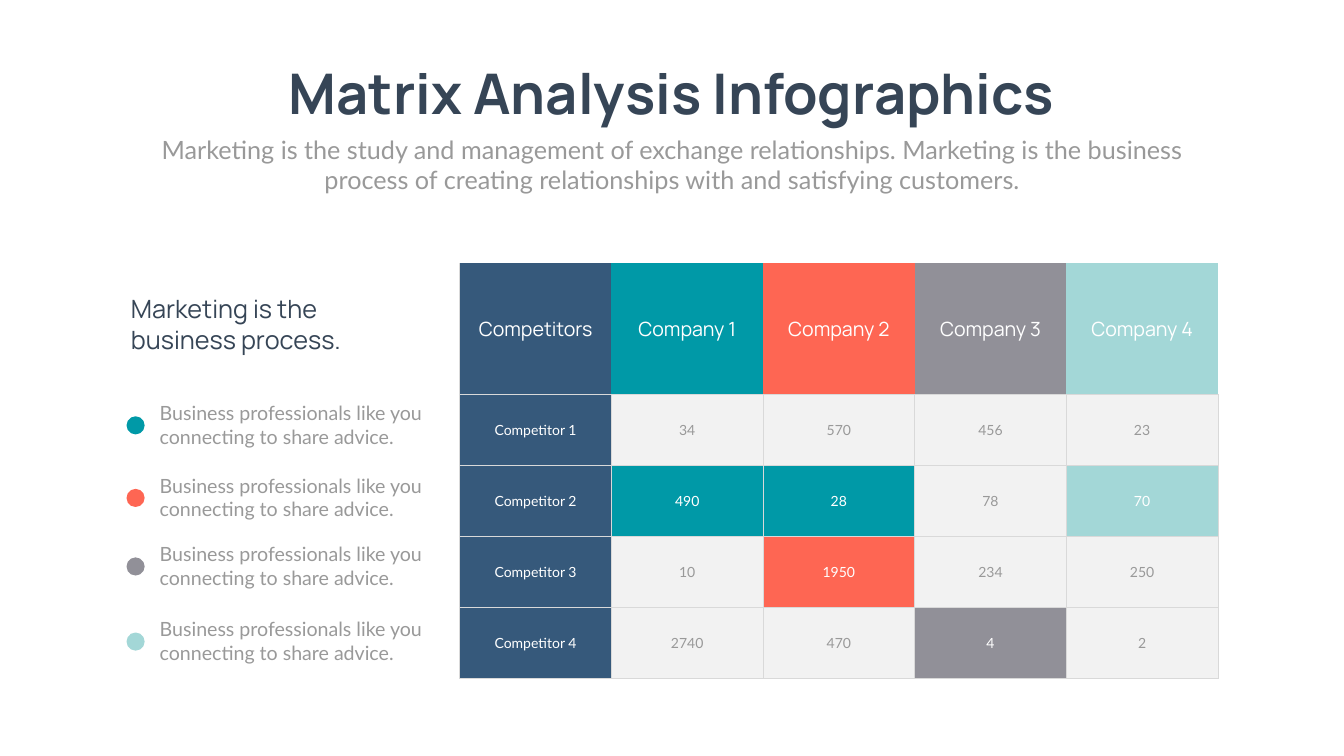
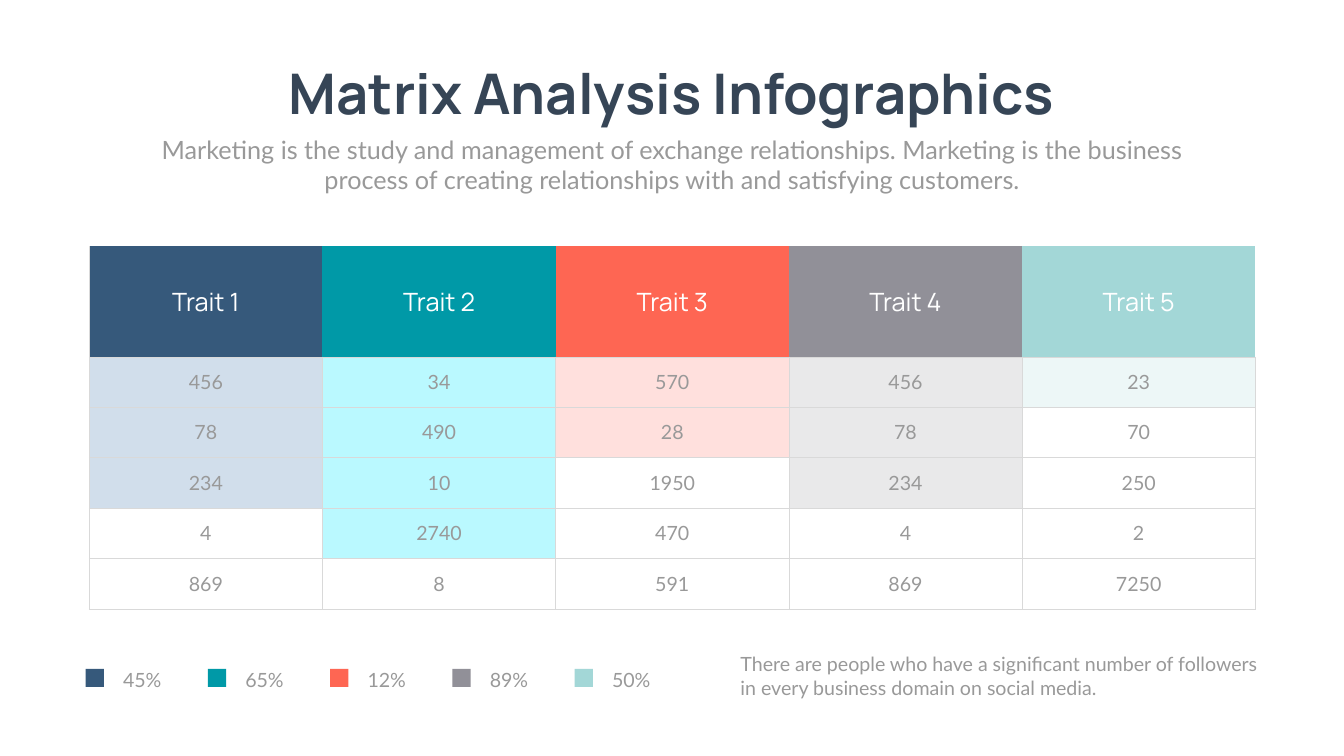
from lxml import etree
from pptx import Presentation
from pptx import util as u
from pptx.dml.color import RGBColor
from pptx.enum import shapes, text
from pptx.oxml import ns

PX = 9144  # EMU per px, 100 px to the inch

COLORS = {
    "navy": "36597B", "teal": "0099A7", "coral": "FE6653", "gray": "919098",
    "mint": "A3D7D7", "ink": "364556", "text": "999999", "white": "FFFFFF",
    "cell": "F2F2F2", "grid": "D9D9D9", "navy_tint": "D1DEEB",
    "teal_tint": "BAF9FF", "coral_tint": "FFE0DD", "gray_tint": "E9E9EA",
    "mint_tint": "EDF7F7",
}
SERIES = ["navy", "teal", "coral", "gray", "mint"]
HEADING, BODY = "Manrope", "Lato"

TITLE = "Matrix Analysis Infographics"
SUBTITLE = ("Marketing is the study and management of exchange relationships. "
            "Marketing is the business process of creating relationships with "
            "and satisfying customers.")

COMPETITORS = [
    ["Competitors", "Company 1", "Company 2", "Company 3", "Company 4"],
    ["Competitor 1", "34", "570", "456", "23"],
    ["Competitor 2", "490", "28", "78", "70"],
    ["Competitor 3", "10", "1950", "234", "250"],
    ["Competitor 4", "2740", "470", "4", "2"],
]
HIGHLIGHTS = {(2, 1): "teal", (2, 2): "teal", (2, 4): "mint",
              (3, 2): "coral", (4, 3): "gray"}
SIDE_HEADING = "Marketing is the business process."
ADVICE = "Business professionals like you connecting to share advice."
ADVICE_TOPS = {"teal": 791, "coral": 935, "gray": 1071, "mint": 1220}

TRAITS = [
    ["Trait 1", "Trait 2", "Trait 3", "Trait 4", "Trait 5"],
    ["456", "34", "570", "456", "23"],
    ["78", "490", "28", "78", "70"],
    ["234", "10", "1950", "234", "250"],
    ["4", "2740", "470", "4", "2"],
    ["869", "8", "591", "869", "7250"],
]
TINTED_ROWS = [3, 4, 2, 3, 1]
SHARES = ["45%", "65%", "12%", "89%", "50%"]
FOLLOWERS = ("There are people who have a significant number of followers "
             "in every business domain on social media.")


def emu(*lengths):
    return [round(n * PX) for n in lengths]


def rgb(name):
    return RGBColor.from_string(COLORS[name])


def write(tf, words, size, font=BODY, color="text", bold=False, align="LEFT"):
    p = tf.paragraphs[0]
    p.alignment = getattr(text.PP_ALIGN, align)
    r = p.add_run()
    r.text = words
    style = {"name": font, "size": u.Pt(size), "bold": bold}
    for key, value in style.items():
        setattr(r.font, key, value)
    r.font.color.rgb = rgb(color)
    return p


def add_text(parent, box, words, size, inset=(10, 5), wrap=True, **style):
    tf = parent.add_textbox(*emu(*box)).text_frame
    dx, dy = emu(*inset)
    frame = {"word_wrap": wrap, "auto_size": text.MSO_AUTO_SIZE.SHAPE_TO_FIT_TEXT,
             "margin_left": dx, "margin_right": dx,
             "margin_top": dy, "margin_bottom": dy}
    for key, value in frame.items():
        setattr(tf, key, value)
    return write(tf, words, size, **style)


def add_marker(parent, kind, x, y, color):
    sp = parent.add_shape(kind, *emu(x, y, 36, 36))
    sp.shadow.inherit = False
    sp.fill.solid()
    sp.fill.fore_color.rgb = rgb(color)
    sp.line.fill.background()


def set_borders(cell, sides):
    """Draw grid lines on the given sides (of "LRTB") and none on the others."""
    tc_pr = cell._tc.get_or_add_tcPr()
    for side in "LRTB":
        ln = etree.SubElement(tc_pr, ns.qn(f"a:ln{side}"), w=str(u.Pt(1)))
        if side in sides:
            fill = etree.SubElement(ln, ns.qn("a:solidFill"))
            etree.SubElement(fill, ns.qn("a:srgbClr"), val=COLORS["grid"])
        else:
            etree.SubElement(ln, ns.qn("a:noFill"))


def add_matrix(slide, box, rows, heights, sizes, body_fill):
    """Table with a coloured heading row; body_fill(row, col) names body fills."""
    head_height, row_height = heights
    head_size, body_size = sizes
    table = slide.shapes.add_table(len(rows), len(rows[0]), *emu(*box)).table
    table.first_row = table.horz_banding = False
    for column in table.columns:
        column.width = emu(box[2] / len(rows[0]))[0]
    for i, row in enumerate(rows):
        head = i == 0
        table.rows[i].height = emu(head_height if head else row_height)[0]
        for j, words in enumerate(row):
            cell = table.cell(i, j)
            fill = SERIES[j] if head else body_fill(i, j)
            dx, dy = emu(14, 7) if head else emu(10, 5)
            layout = {"vertical_anchor": text.MSO_ANCHOR.MIDDLE,
                      "margin_left": dx, "margin_right": dx,
                      "margin_top": dy, "margin_bottom": dy}
            for key, value in layout.items():
                setattr(cell, key, value)
            set_borders(cell, "LRTB" if not head else "B" if j else "LB")
            cell.fill.solid()
            cell.fill.fore_color.rgb = rgb(fill)
            write(cell.text_frame, words, head_size if head else body_size,
                  font=HEADING if head else BODY, align="CENTER",
                  color="white" if fill in SERIES else "text")


def add_slide(prs):
    """Blank slide with the shared title and subtitle."""
    slide = prs.slides.add_slide(prs.slide_layouts[6])
    add_text(slide.shapes, (497, 112, 1671, 145), TITLE, 80, wrap=False,
             font=HEADING, color="ink", bold=True, align="CENTER")
    add_text(slide.shapes, (292, 261, 2082, 131), SUBTITLE, 36, align="CENTER")
    return slide


def competitor_fill(i, j):
    return "navy" if j == 0 else HIGHLIGHTS.get((i, j), "cell")


def trait_fill(i, j):
    return f"{SERIES[j]}_tint" if i <= TINTED_ROWS[j] else "white"


def build_competitors(prs):
    slide = add_slide(prs)
    add_matrix(slide, (912, 522, 1504, 825), COMPETITORS, (260, 141), (28, 20),
               competitor_fill)
    for color, top in ADVICE_TOPS.items():
        group = slide.shapes.add_group_shape().shapes
        add_text(group, (307, top, 610, 104), ADVICE, 28)
        add_marker(group, shapes.MSO_SHAPE.OVAL, 251, top + 35, color)
    add_text(slide.shapes, (250, 578, 568, 131), SIDE_HEADING, 36,
             font=HEADING, color="ink")


def build_traits(prs):
    slide = add_slide(prs)
    add_matrix(slide, (177, 489, 2313, 719), TRAITS, (219, 100), (36, 28),
               trait_fill)
    left, pitch = 170, 242.5
    for i, (share, color) in enumerate(zip(SHARES, SERIES)):
        x = left + i * pitch
        p = add_text(slide.shapes, (x + 50, 1303, 175, 75), share, 28,
                     inset=(24, 12))
        p.line_spacing = u.Pt(40.8)
        add_marker(slide.shapes, shapes.MSO_SHAPE.RECTANGLE, x, 1327, color)
    add_text(slide.shapes, (1459, 1289, 1045, 104), FOLLOWERS, 28)


def main():
    prs = Presentation()
    prs.slide_width, prs.slide_height = emu(2666, 1500)
    build_competitors(prs)
    build_traits(prs)
    prs.save("out.pptx")


if __name__ == "__main__":
    main()
